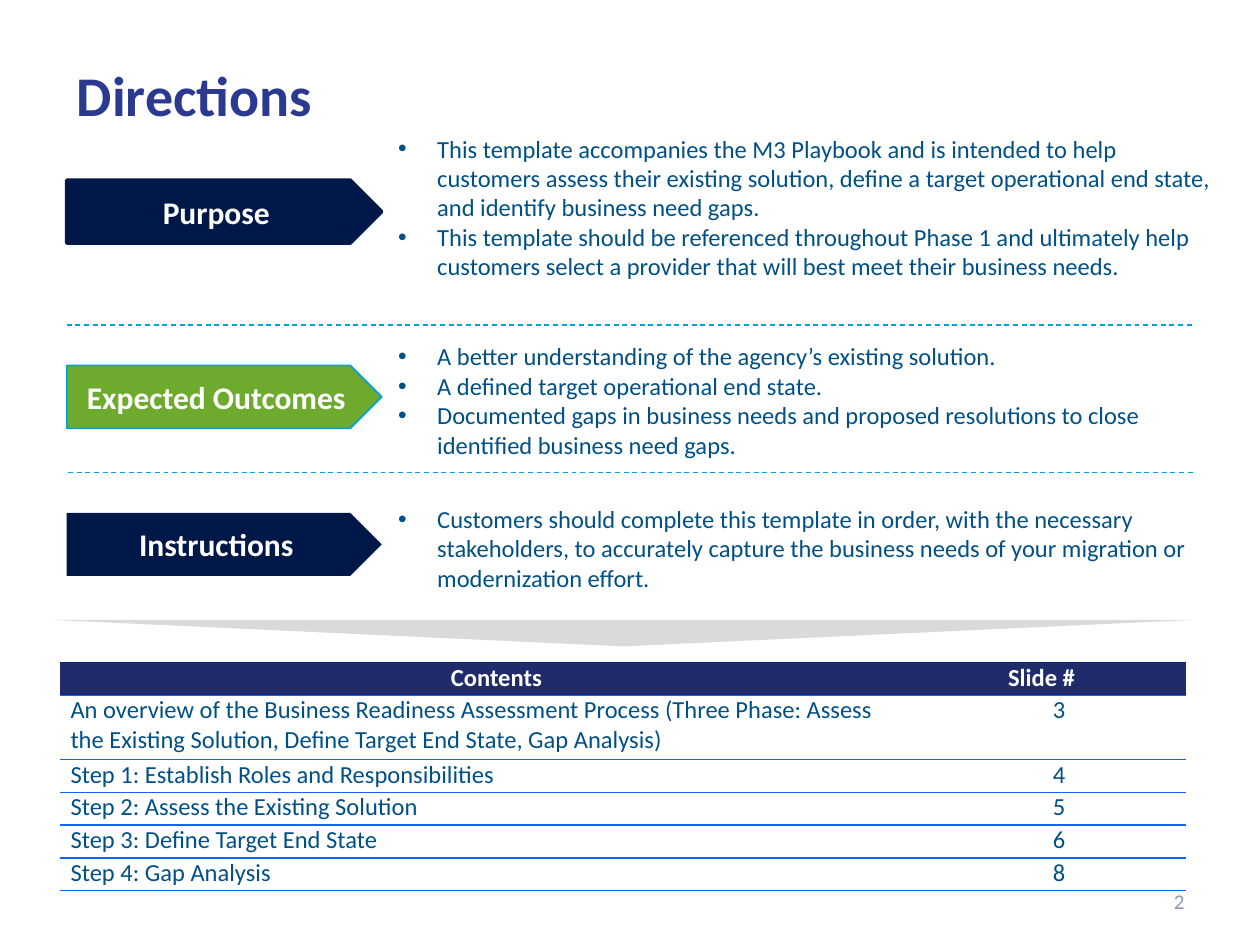
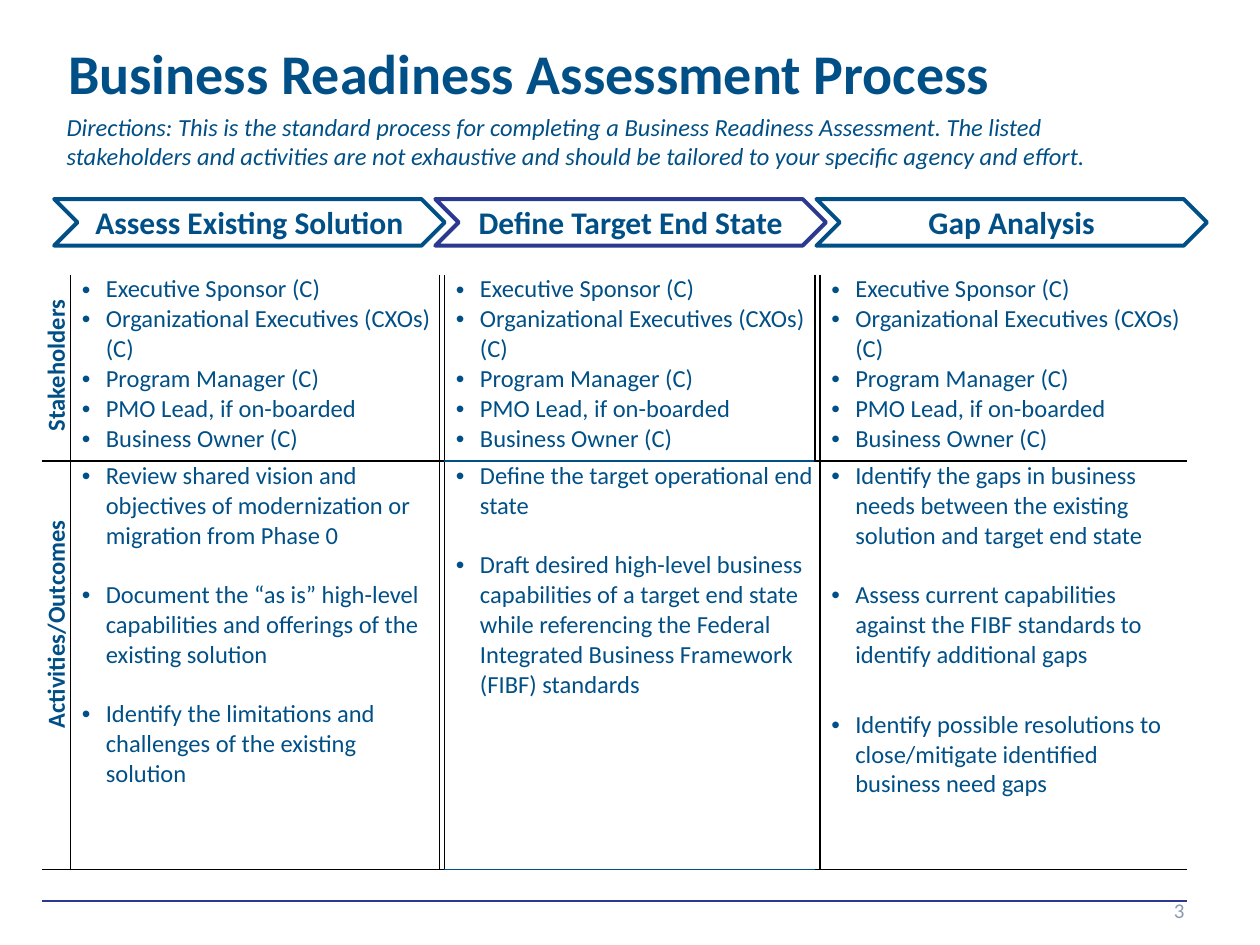
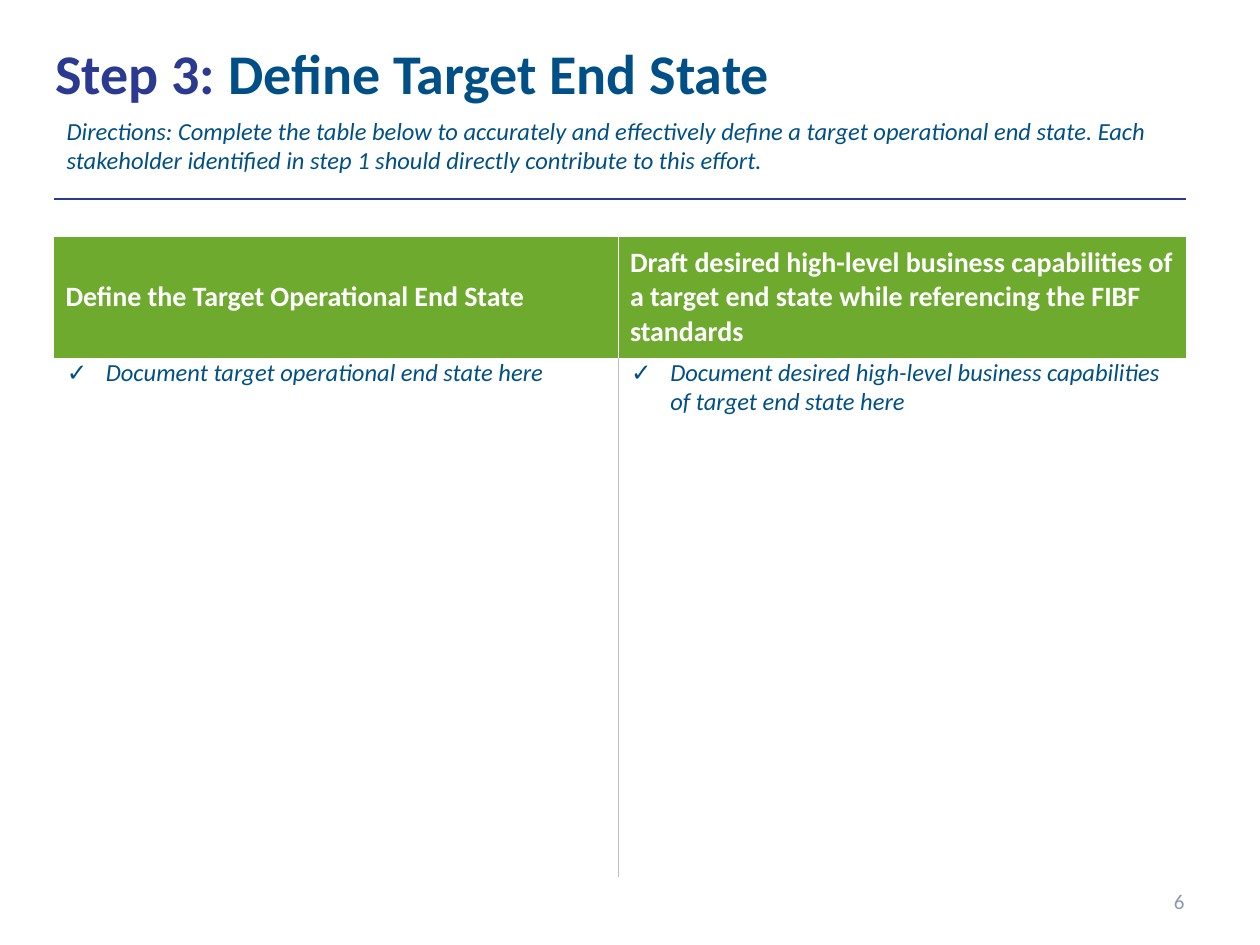
from lxml import etree
from pptx import Presentation
from pptx.dml.color import RGBColor
from pptx.enum import dml, shapes, text
from pptx.oxml import ns
from pptx.util import Inches, Pt

# ---------- shared look ----------
FONT = "Calibri"
BLUE = RGBColor(0x00, 0x50, 0x87)
INDIGO = RGBColor(0x2B, 0x39, 0x90)
NAVY = RGBColor(0x00, 0x18, 0x48)
HEADER = RGBColor(0x20, 0x2B, 0x6C)
HEADER_EDGE = RGBColor(0x00, 0x27, 0x76)
ROW_RULE = RGBColor(0x14, 0x62, 0xFF)
CYAN = RGBColor(0x00, 0xA1, 0xDE)
GREEN = RGBColor(0x6E, 0xAA, 0x2E)
PALE = RGBColor(0xDA, 0xDA, 0xDA)
SILVER = RGBColor(0xBF, 0xBF, 0xBF)
SLATE = RGBColor(0x8C, 0x98, 0xB0)
WHITE = RGBColor(0xFF, 0xFF, 0xFF)
BLACK = RGBColor(0, 0, 0)
NO_STYLE = "{2D5ABB26-0587-4C30-8999-92F81FD0307C}"
ALIGN, ANCHOR = text.PP_ALIGN, text.MSO_ANCHOR
SHAPE = shapes.MSO_SHAPE
MARGIN, WIDE = 0.43, 8.98
BODY = dict(size=14, color=BLUE)
BULLETS = dict(BODY, bullet="•", left=0.33, hang=0.31)
CELL_BULLETS = dict(BODY, bullet="•", left=0.28, hang=0.19)
LABEL = dict(size=18, bold=True, align=ALIGN.CENTER)

# ---------- content ----------
# label, arrow fill, arrow line, arrow top, text top, text height, bullets
SECTIONS = [
    ("Purpose", NAVY, (NAVY, 2.04), 1.43, 1.06, 1.41, [
        "This template accompanies the M3 Playbook and is intended to help customers assess "
        "their existing solution, define a target operational end state, and identify "
        "business need gaps.",
        "This template should be referenced throughout Phase 1 and ultimately help customers "
        "select a provider that will best meet their business needs."]),
    ("Expected Outcomes", GREEN, (CYAN, 0.96), 2.9, 2.71, 0.94, [
        "A better understanding of the agency’s existing solution.",
        "A defined target operational end state.",
        "Documented gaps in business needs and proposed resolutions to close identified "
        "business need gaps."]),
    ("Instructions", NAVY, None, 4.07, 4.0, 0.71, [
        "Customers should complete this template in order, with the necessary stakeholders, "
        "to accurately capture the business needs of your migration or modernization effort."]),
]
DIVIDERS = [(0.53, 2.58), (0.54, 3.75)]
CONTENTS = [
    ("Contents", "Slide #"),
    ("An overview of the Business Readiness Assessment Process (Three Phase: Assess the "
     "Existing Solution, Define Target End State, Gap Analysis)", "3"),
    ("Step 1: Establish Roles and Responsibilities", "4"),
    ("Step 2: Assess the Existing Solution", "5"),
    ("Step 3: Define Target End State", "6"),
    ("Step 4: Gap Analysis", "8"),
]
STAKEHOLDERS = ["Executive Sponsor (C)", "Organizational Executives (CXOs) (C)",
                "Program Manager (C)", "PMO Lead, if on-boarded", "Business Owner (C)"]
# phase, chevron colour, activities, space before each activity
PHASES = [
    ("Assess Existing Solution", BLUE, [
        "Review shared vision and objectives of modernization or migration from Phase 0",
        "Document the “as is” high-level capabilities and offerings of the existing solution",
        "Identify the limitations and challenges of the existing solution"], (0, 17, 17)),
    ("Define Target End State", INDIGO, [
        "Define the target operational end state",
        "Draft desired high-level business capabilities of a target end state while "
        "referencing the Federal Integrated Business Framework (FIBF) standards"], (0, 17)),
    ("Gap Analysis", BLUE, [
        "Identify the gaps in business needs between the existing solution and target end state",
        "Assess current capabilities against the FIBF standards to identify additional gaps",
        "Identify possible resolutions to close/mitigate identified business need gaps"],
     (0, 17, 23)),
]
PROCESS_NOTE = ("Directions: This is the standard process for completing a Business Readiness "
                "Assessment. The listed stakeholders and activities are not exhaustive and "
                "should be tailored to your specific agency and effort.")
END_STATE = [
    ("Define the Target Operational End State", "Document target operational end state here"),
    ("Draft desired high-level business capabilities of a target end state while referencing "
     "the FIBF standards",
     "Document desired high-level business capabilities of target end state here"),
]
END_STATE_NOTE = ("Directions: Complete the table below to accurately and effectively define a "
                  "target operational end state. Each stakeholder identified in step 1 should "
                  "directly contribute to this effort.")


# ---------- helpers ----------
def write(tf, paras, size=14, color=BLUE, bold=False, italic=False, align=ALIGN.LEFT,
          bullet=None, left=0, hang=0, gaps=(), spacing=None):
    """Each paragraph is a string or a list of (string, colour) runs."""
    for i, content in enumerate(paras):
        p = tf.paragraphs[0] if i == 0 else tf.add_paragraph()
        p.alignment = align
        if gaps:
            p.space_before = Pt(gaps[i])
        if spacing:
            p.line_spacing = Pt(spacing)
        pPr = p._p.get_or_add_pPr()
        pPr.set("marL", str(Inches(left)))
        pPr.set("indent", str(-Inches(hang)))
        if bullet:
            etree.SubElement(pPr, ns.qn("a:buFont")).set("typeface", "Arial")
            etree.SubElement(pPr, ns.qn("a:buChar")).set("char", bullet)
        for words, tint in [(content, color)] if isinstance(content, str) else content:
            r = p.add_run()
            r.text = words
            r.font.color.rgb = tint
            for name, value in dict(name=FONT, size=Pt(size), bold=bold, italic=italic).items():
                setattr(r.font, name, value)


def set_frame(tf, insets=(0, 0), anchor=ANCHOR.TOP):
    x, y = map(Inches, insets)
    for name, value in dict(word_wrap=True, vertical_anchor=anchor, margin_left=x,
                            margin_right=x, margin_top=y, margin_bottom=y).items():
        setattr(tf, name, value)
    return tf


def add_text(s, at, paras, insets=(0, 0), anchor=ANCHOR.TOP, **fmt):
    box = s.shapes.add_textbox(*map(Inches, at))
    write(set_frame(box.text_frame, insets, anchor), paras, **fmt)


def add_shape(s, kind, at, fill=None, line=None, label=None, color=WHITE):
    sp = s.shapes.add_shape(kind, *map(Inches, at))
    sp.shadow.inherit = False
    if fill is None:
        sp.fill.background()
    else:
        sp.fill.solid()
        sp.fill.fore_color.rgb = fill
    if line is None:
        sp.line.fill.background()
    else:
        sp.line.color.rgb, sp.line.width = line[0], Pt(line[1])
    if label:
        write(set_frame(sp.text_frame, anchor=ANCHOR.MIDDLE), [label], color=color, **LABEL)


def add_divider(s, x, y, width):
    line = s.shapes.add_connector(shapes.MSO_CONNECTOR.STRAIGHT,
                                  *map(Inches, (x, y, x + width, y)))
    line.line.color.rgb, line.line.width = CYAN, Pt(0.72)
    line.line.dash_style = dml.MSO_LINE.DASH
    etree.SubElement(line._element.spPr, ns.qn("a:effectLst"))


def add_table(s, at, cols, rows, cells):
    """cells maps (row, column) to a dict: paras, fmt, fill, anchor, vert, edges."""
    frame = s.shapes.add_table(len(rows), len(cols), *map(Inches, (*at, sum(cols), sum(rows))))
    table = frame.table
    table.first_row = table.horz_banding = False
    table._tbl.tblPr.find(ns.qn("a:tableStyleId")).text = NO_STYLE
    for col, width in zip(table.columns, cols):
        col.width = Inches(width)
    for row, height in zip(table.rows, rows):
        row.height = Inches(height)
    for r in range(len(rows)):
        for c in range(len(cols)):
            spec_ = cells.get((r, c), {})
            cell = table.cell(r, c)
            cell.margin_left = cell.margin_right = cell.margin_top = cell.margin_bottom = 0
            cell.vertical_anchor = spec_.get("anchor", ANCHOR.TOP)
            if "fill" in spec_:
                cell.fill.solid()
                cell.fill.fore_color.rgb = spec_["fill"]
            else:
                cell.fill.background()
            if "paras" in spec_:
                write(cell.text_frame, spec_["paras"], **spec_["fmt"])
            else:
                cell.text_frame.paragraphs[0]._p.get_or_add_endParaRPr().set("sz", "1000")
            tcPr = cell._tc.get_or_add_tcPr()
            if "vert" in spec_:
                tcPr.set("vert", spec_["vert"])
            edges = spec_.get("edges", {})
            for i, side in enumerate(side for side in "LRTB" if side in edges):
                color, width = edges[side]
                ln = etree.Element(ns.qn("a:ln" + side), w=str(Pt(width)))
                fill = etree.SubElement(ln, ns.qn("a:solidFill"))
                etree.SubElement(fill, ns.qn("a:srgbClr")).set("val", str(color))
                tcPr.insert(i, ln)


def add_slide(title, number, title_at=(MARGIN, 0.36), indent=0.01, number_top=6.95):
    s = prs.slides.add_slide(prs.slide_layouts[6])
    add_text(s, (*title_at, WIDE, 0.49), [title], size=32, bold=True, left=indent, spacing=34.6)
    add_text(s, (7.17, number_top, 2.33, 0.4), [number], (0.1, 0.05), ANCHOR.MIDDLE,
             size=12, color=SLATE, align=ALIGN.RIGHT)
    return s


def add_note(s, top, note):
    add_text(s, (MARGIN, top, WIDE, 0.57), [note], (0.1, 0.05), italic=True, **BODY)


prs = Presentation()
prs.slide_width, prs.slide_height = Inches(10), Inches(7.5)

# ---------- slide 1: directions ----------
s = add_slide([("Directions", INDIGO)], "2", title_at=(0.6, 0.53))
for label, fill, line, arrow_top, text_top, height, bullets in SECTIONS:
    add_shape(s, SHAPE.PENTAGON, (0.53, arrow_top, 2.5, 0.5), fill, line, label)
    add_text(s, (3.14, text_top, 6.55, height), bullets, **BULLETS)
for x, y in DIVIDERS:
    add_divider(s, x, y, 8.95)
add_shape(s, SHAPE.FLOWCHART_MERGE, (0.42, 4.92, 9.05, 0.21), PALE)

cells = {}
rule = (ROW_RULE, 1)
for r, (topic, page) in enumerate(CONTENTS):
    if r == 0:
        head = dict(size=14, color=WHITE, bold=True)
        look = dict(fill=HEADER, edges=dict(T=(HEADER_EDGE, 0.75), B=rule))
        formats = dict(head, align=ALIGN.CENTER, left=0.19), dict(head, left=0.79)
    else:
        look = dict(edges=dict(T=rule, B=rule))
        formats = dict(BODY, left=0.08), dict(BODY, align=ALIGN.CENTER, left=0.19)
    for c, words in enumerate((topic, page)):
        cells[r, c] = dict(look, paras=[words], fmt=formats[c])
add_table(s, (0.48, 5.26), [6.73, 2.2], [0.26, 0.51] + [0.26] * 4, cells)

# ---------- slide 2: process ----------
s = add_slide([("Business Readiness Assessment Process", BLUE)], "3", indent=0.11,
              number_top=7.02)
add_note(s, 0.84, PROCESS_NOTE)
for i, (phase, color, _, _) in enumerate(PHASES):
    add_shape(s, SHAPE.CHEVRON, (MARGIN + 3.025 * i, 1.58, 3.1, 0.37), None,
              (color, 2.28), phase, BLUE)

# Text columns alternate with narrow gutters
black, end_rule = (BLACK, 1), (INDIGO, 1.56)
cells = {(2, c): dict(edges=dict(B=end_rule)) for c in range(6)}
for r in range(2):
    uprights = {0, 1, 2, 4} if r == 0 else {0, 1, 4}
    for c in range(6):
        edges = {}
        if c - 1 in uprights:
            edges["L"] = black
        if c in uprights:
            edges["R"] = black
        middle = (BLUE, 1) if c == 3 else black
        if r == 0:
            edges["B"] = middle
        else:
            edges["T"] = middle
            if c != 3:
                edges["B"] = cells[2, c]["edges"]["T"] = black
        cells[r, c] = dict(edges=edges)
for r, (label, left) in enumerate([("Stakeholders", 0.04), ("Activities/Outcomes", 0.65)]):
    cells[r, 0].update(paras=[label], vert="vert270",
                       fmt=dict(BODY, bold=True, align=ALIGN.CENTER, left=left))
for i, (_, _, activities, gaps) in enumerate(PHASES):
    c = 2 * i + 1
    cells[0, c].update(paras=STAKEHOLDERS, fmt=CELL_BULLETS)
    cells[1, c].update(paras=activities, fmt=dict(CELL_BULLETS, gaps=gaps))
add_table(s, (0.33, 2.18), [0.23, 2.93, 0.03, 2.94, 0.03, 2.91], [1.48, 3.24, 0.25], cells)

# ---------- slide 3: target end state ----------
s = add_slide([("Step 3: ", INDIGO), ("Define Target End State", BLUE)], "6")
add_note(s, 0.87, END_STATE_NOTE)
cells = {}
for c, (heading, prompt) in enumerate(END_STATE):
    inner = "RL"[c]
    cells[0, c] = dict(edges=dict(T=end_rule))
    cells[1, c] = dict(paras=[heading], fill=GREEN, anchor=ANCHOR.MIDDLE,
                       fmt=dict(size=16, color=WHITE, bold=True, left=0.09),
                       edges={inner: (WHITE, 1)})
    cells[2, c] = dict(paras=[prompt], edges={inner: (SILVER, 1)},
                       fmt=dict(BODY, italic=True, bullet="✓", left=0.41, hang=0.31))
add_table(s, (MARGIN, 1.58), [4.48, 4.5], [0.3, 0.96, 4.12], cells)

prs.save("out.pptx")
